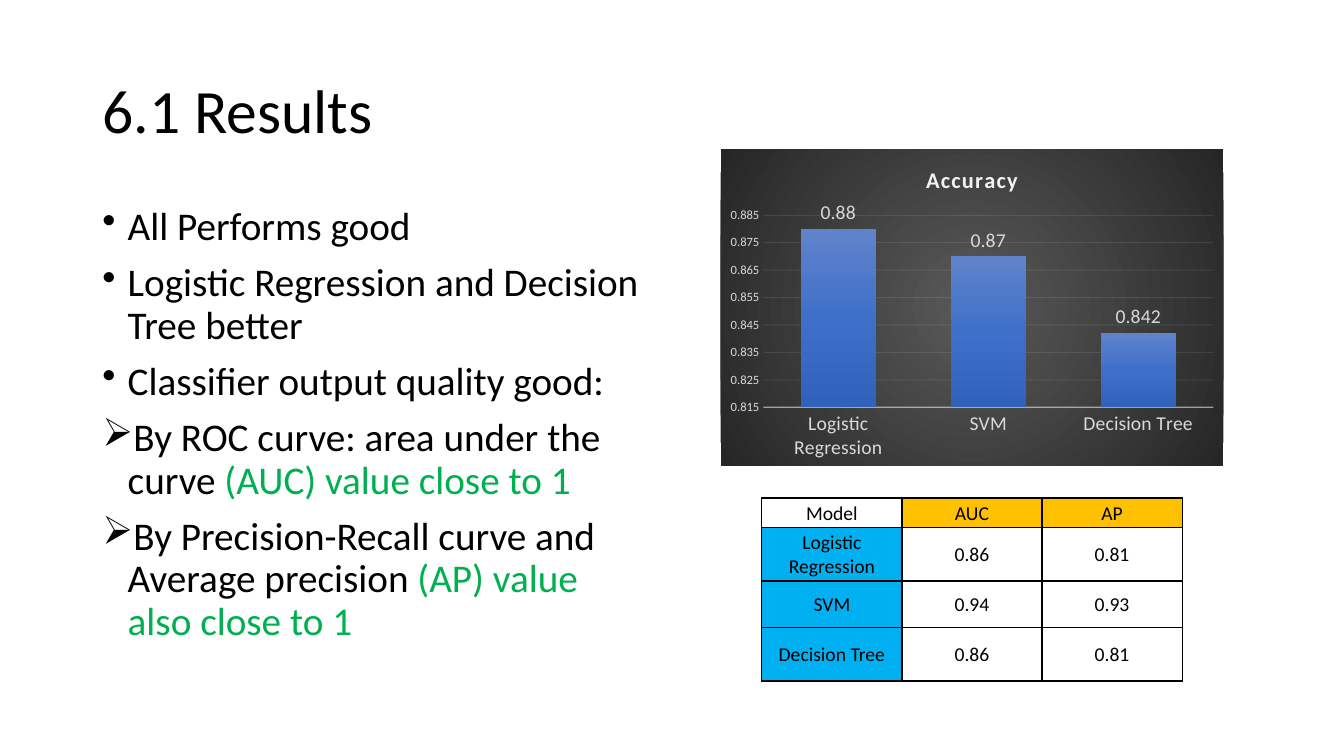
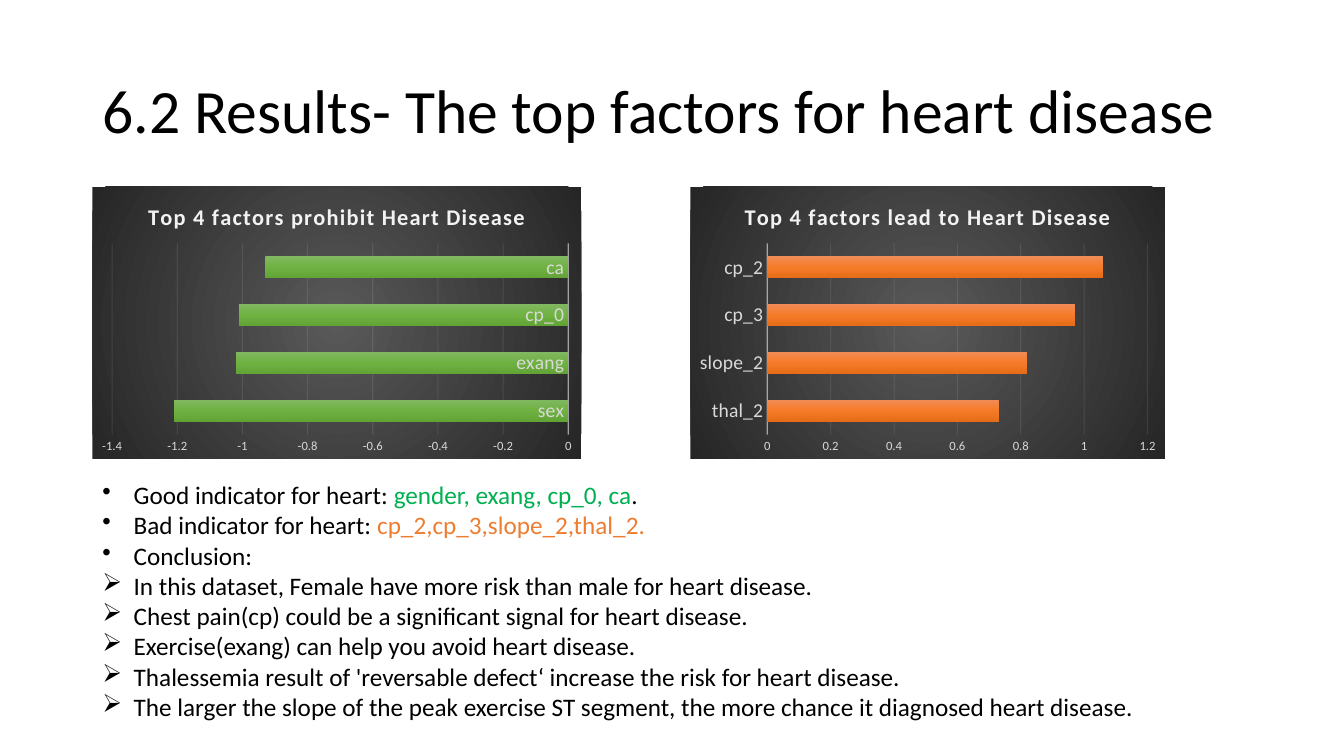
import lxml.etree
import pptx
import pptx.chart.data
import pptx.dml.color
import pptx.enum.chart
import pptx.enum.text
import pptx.oxml.ns
import pptx.util

Cm = pptx.util.Cm
Pt = pptx.util.Pt
RGBColor = pptx.dml.color.RGBColor
qn = pptx.oxml.ns.qn
ChartType = pptx.enum.chart.XL_CHART_TYPE

FONT = "Calibri"
BLACK = RGBColor(0x00, 0x00, 0x00)
GREEN = RGBColor(0x00, 0xB0, 0x50)
ORANGE = RGBColor(0xED, 0x7D, 0x31)
GOLD = RGBColor(0xFF, 0xC0, 0x00)
SKY = RGBColor(0x00, 0xB0, 0xF0)
CHART_LIGHT = RGBColor(0xF2, 0xF2, 0xF2)
CHART_LABEL = RGBColor(0xD9, 0xD9, 0xD9)
CHART_BACKGROUND = (RGBColor(0x59, 0x59, 0x59), RGBColor(0x26, 0x26, 0x26))
BLUE_BARS = (RGBColor(0x61, 0x83, 0xCB), RGBColor(0x3E, 0x70, 0xCA), RGBColor(0x30, 0x62, 0xBB))
GREEN_BARS = (RGBColor(0x81, 0xB8, 0x61), RGBColor(0x6F, 0xB2, 0x42), RGBColor(0x62, 0xA3, 0x36))
ORANGE_BARS = (RGBColor(0xF1, 0x8C, 0x57), RGBColor(0xF6, 0x7B, 0x28), RGBColor(0xE5, 0x6C, 0x19))

# Boxes are left, top, width, height in centimetres
TITLE_BOX = (2.33, 1.01, 29.21, 3.68)
DOT, ARROW = "•", "➢"


def set_font(font, size, color, bold=False):
    font.name = FONT
    font.size = Pt(size)
    font.bold = bold
    font.color.rgb = color


def add_element(parent, tag, **attributes):
    return lxml.etree.SubElement(parent, qn(tag), attributes)


# Text
def add_text_frame(slide, box):
    text_frame = slide.shapes.add_textbox(*map(Cm, box)).text_frame
    text_frame.word_wrap = True
    return text_frame


def add_title(slide, text):
    text_frame = add_text_frame(slide, TITLE_BOX)
    text_frame.vertical_anchor = pptx.enum.text.MSO_ANCHOR.MIDDLE
    paragraph = text_frame.paragraphs[0]
    paragraph.text = text
    paragraph.line_spacing = 0.9
    set_font(paragraph.font, 44, BLACK)


def add_bullets(slide, box, items, size, indent, line_spacing=1.0, space_before=0):
    """Each item is a bullet followed by runs; a coloured run is (text, colour)."""
    text_frame = add_text_frame(slide, box)
    for index, (bullet, *runs) in enumerate(items):
        paragraph = text_frame.add_paragraph() if index else text_frame.paragraphs[0]
        properties = paragraph._p.get_or_add_pPr()
        properties.set("marL", str(Cm(indent)))
        properties.set("indent", str(-Cm(indent)))
        add_element(properties, "a:buChar", char=bullet)
        paragraph.line_spacing = line_spacing
        paragraph.space_before = Pt(space_before)
        set_font(paragraph.font, size, BLACK)
        for part in runs:
            text, color = (part, None) if isinstance(part, str) else part
            run = paragraph.add_run()
            run.text = text
            if color is not None:
                run.font.color.rgb = color


# Charts
def add_gradient(properties, colors, radial=False):
    gradient = add_element(properties, "a:gradFill")
    stops = add_element(gradient, "a:gsLst")
    for index, color in enumerate(colors):
        position = 100000 * index // (len(colors) - 1)
        stop = add_element(stops, "a:gs", pos=str(position))
        add_element(stop, "a:srgbClr", val=str(color))
    if radial:
        circle = add_element(gradient, "a:path", path="circle")
        add_element(circle, "a:fillToRect", l="50000", t="50000", r="50000", b="50000")
    else:
        add_element(gradient, "a:lin", ang="5400000", scaled="0")


def set_faint_line(chart_format, width, opacity):
    chart_format.line.width = Pt(width)
    chart_format.line.color.rgb = CHART_LIGHT
    color = chart_format.element.find(f"{qn('c:spPr')}//{qn('a:srgbClr')}")
    add_element(color, "a:alpha", val=str(opacity * 1000))


def add_dark_chart(slide, box, chart_type, title, points, bar_colors, scale,
                   gap=115, overlap=-20, series_name="Series 1", labels=False):
    data = pptx.chart.data.CategoryChartData()
    data.categories = list(points)
    data.add_series(series_name, list(points.values()))
    chart = slide.shapes.add_chart(chart_type, *map(Cm, box), data).chart
    chart.has_legend = False
    set_font(chart.font, 10, BLACK)

    # Dark background
    background = lxml.etree.Element(qn("c:spPr"))
    add_gradient(background, CHART_BACKGROUND, radial=True)
    add_element(add_element(background, "a:ln"), "a:noFill")
    chart.element.find(qn("c:txPr")).addprevious(background)

    # Title with wide letter spacing
    chart.has_title = True
    paragraph = chart.chart_title.text_frame.paragraphs[0]
    paragraph.text = title
    set_font(paragraph.font, 16, CHART_LIGHT, bold=True)
    paragraph.runs[0]._r.get_or_add_rPr().set("spc", "100")

    # Axes
    for axis, size in ((chart.category_axis, 14), (chart.value_axis, 9)):
        axis.major_tick_mark = axis.minor_tick_mark = pptx.enum.chart.XL_TICK_MARK.NONE
        set_font(axis.tick_labels.font, size, CHART_LABEL)
    set_faint_line(chart.category_axis.format, 1, 54)
    value_axis = chart.value_axis
    value_axis.minimum_scale, value_axis.maximum_scale, value_axis.major_unit = scale
    value_axis.format.line.fill.background()
    value_axis.has_major_gridlines = True
    set_faint_line(value_axis.major_gridlines.format, 0.75, 10)

    # Bars
    plot = chart.plots[0]
    plot.gap_width = gap
    plot.overlap = overlap
    plot.vary_by_categories = False
    series = plot.series[0]
    series.invert_if_negative = False
    add_gradient(series.format.element.get_or_add_spPr(), bar_colors)
    if labels:
        data_labels = series.data_labels
        data_labels.show_value = True
        data_labels.position = pptx.enum.chart.XL_LABEL_POSITION.OUTSIDE_END
        set_font(data_labels.font, 14, CHART_LABEL)


# Table
def set_cell_borders(cell):
    properties = cell._tc.get_or_add_tcPr()
    for index, side in enumerate(("a:lnL", "a:lnR", "a:lnT", "a:lnB")):
        line = lxml.etree.Element(qn(side), w=str(Pt(1)))
        add_element(add_element(line, "a:solidFill"), "a:srgbClr", val=str(BLACK))
        properties.insert(index, line)


def add_score_table(slide, box, rows, row_heights):
    table = slide.shapes.add_table(len(rows), len(rows[0]), *map(Cm, box)).table
    table.first_row = table.horz_banding = False
    for column in table.columns:
        column.width = Cm(box[2] / len(rows[0]))
    for row_index, values in enumerate(rows):
        table.rows[row_index].height = Cm(row_heights[row_index])
        for column_index, value in enumerate(values):
            cell = table.cell(row_index, column_index)
            cell.margin_left = cell.margin_right = cell.margin_top = Cm(0.03)
            cell.margin_bottom = 0
            cell.vertical_anchor = pptx.enum.text.MSO_ANCHOR.MIDDLE
            # Gold heads the columns, sky blue heads the rows
            if bool(row_index) == bool(column_index):
                cell.fill.background()
            else:
                cell.fill.solid()
                cell.fill.fore_color.rgb = SKY if row_index else GOLD
            set_cell_borders(cell)
            paragraph = cell.text_frame.paragraphs[0]
            paragraph.text = value
            paragraph.alignment = pptx.enum.text.PP_ALIGN.CENTER
            set_font(paragraph.font, 14, BLACK)


# Slides
def build_model_results(slide):
    add_title(slide, "6.1 Results")
    add_bullets(slide, (2.33, 5.08, 14.1, 12.09), [
        (DOT, "All Performs good"),
        (DOT, "Logistic Regression and Decision Tree better"),
        (DOT, "Classifier output quality good:"),
        (ARROW, "By ROC curve: area under the curve ", ("(AUC) value close to 1", GREEN)),
        (ARROW, "By Precision-Recall curve and Average precision ",
         ("(AP) value also close to 1", GREEN)),
    ], size=28, indent=0.64, line_spacing=0.9, space_before=10)
    add_dark_chart(
        slide, (18.16, 3.76, 12.67, 7.98), ChartType.COLUMN_CLUSTERED, "Accuracy",
        {"Logistic Regression": 0.88, "SVM": 0.87, "Decision Tree": 0.842},
        BLUE_BARS, (0.815, 0.885, 0.01), gap=100, overlap=-24,
        series_name="Accuracy", labels=True)
    add_score_table(slide, (19.2, 12.55, 10.59, 4.61), [
        ("Model", "AUC", "AP"),
        ("Logistic Regression", "0.86", "0.81"),
        ("SVM", "0.94", "0.93"),
        ("Decision Tree", "0.86", "0.81"),
    ], (0.74, 1.35, 1.17, 1.35))


def build_heart_factors(slide):
    add_title(slide, "6.2 Results- The top factors for heart disease")
    add_dark_chart(
        slide, (2.33, 4.7, 12.32, 6.86), ChartType.BAR_CLUSTERED,
        "Top 4 factors prohibit Heart Disease",
        {"sex": -1.21, "exang": -1.02, "cp_0": -1.01, "ca": -0.93},
        GREEN_BARS, (-1.4, 0, 0.2))
    add_dark_chart(
        slide, (17.4, 4.7, 11.96, 6.86), ChartType.BAR_CLUSTERED,
        "Top 4 factors lead to Heart Disease",
        {"thal_2": 0.73, "slope_2": 0.82, "cp_3": 0.97, "cp_2": 1.06},
        ORANGE_BARS, (0, 1.2, 0.2))
    add_bullets(slide, (2.33, 11.96, 28.85, 7.09), [
        (DOT, "Good indicator for heart: ", ("gender, exang, cp_0, ca", GREEN), "."),
        (DOT, "Bad indicator for heart: ", ("cp_2,cp_3,slope_2,thal_2.", ORANGE)),
        (DOT, "Conclusion:"),
        (ARROW, "In this dataset, Female have more risk than male for heart disease."),
        (ARROW, "Chest pain(cp) could be a significant signal for heart disease."),
        (ARROW, "Exercise(exang) can help you avoid heart disease."),
        (ARROW, "Thalessemia result of 'reversable defect‘ increase the risk for heart disease."),
        (ARROW, "The larger the slope of the peak exercise ST segment, "
                "the more chance it diagnosed heart disease."),
    ], size=18, indent=0.79)


def main():
    presentation = pptx.Presentation()
    presentation.slide_width = Cm(33.87)
    presentation.slide_height = Cm(19.05)
    blank_layout = presentation.slide_layouts[6]
    for build in (build_model_results, build_heart_factors):
        build(presentation.slides.add_slide(blank_layout))
    presentation.save("out.pptx")


if __name__ == "__main__":
    main()
